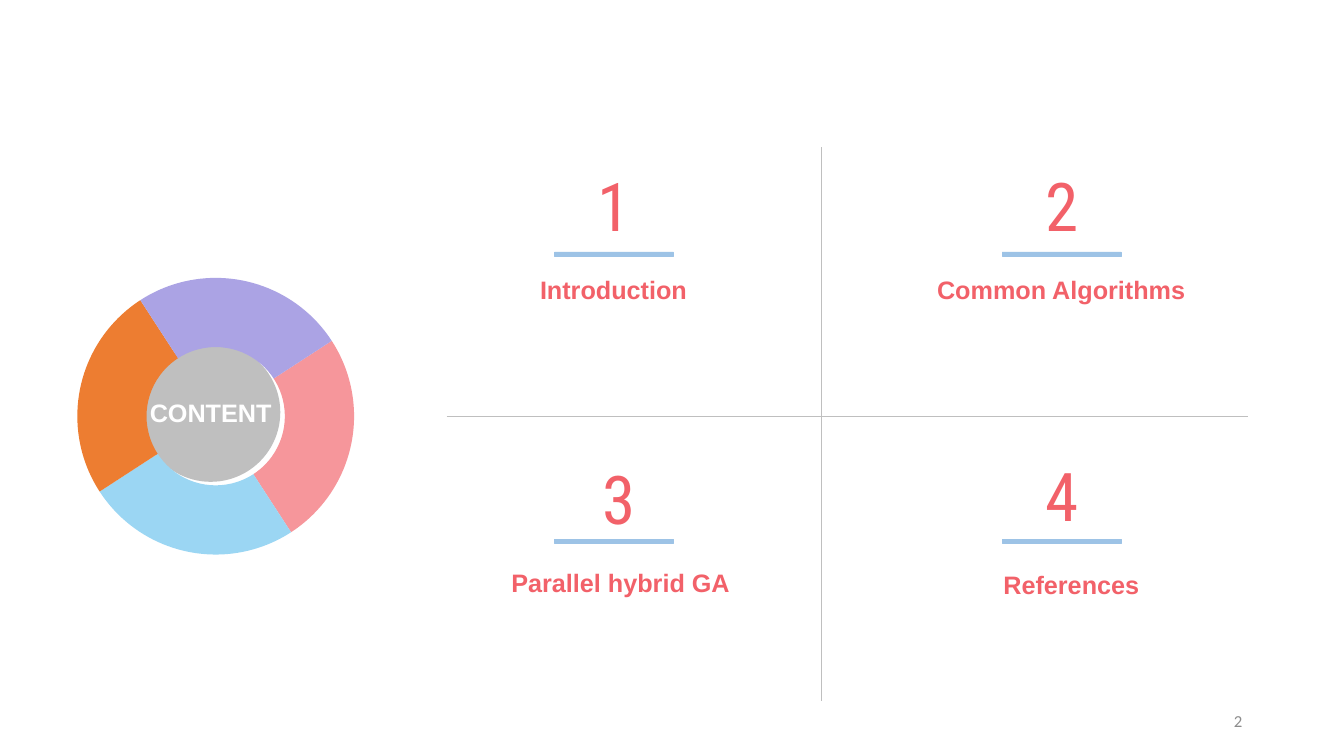
import pptx
import pptx.chart.data
import pptx.dml.color
import pptx.enum.chart
import pptx.enum.shapes
import pptx.enum.text
import pptx.oxml
import pptx.oxml.ns
import pptx.util
from pptx.util import Inches

ALIGN = pptx.enum.text.PP_ALIGN
ANCHOR = pptx.enum.text.MSO_ANCHOR
SHAPE = pptx.enum.shapes.MSO_SHAPE

CORAL = "F26169"
GREY = "BFBFBF"
BLUE = "9DC3E6"
SLICE_COLOURS = ["F6969B", "9BD6F3", "ED7D31", "ABA3E4"]

# number, its left and top, title, its left and top, left and top of the bar
TOPICS = [
    ("1", 5.7, 1.53, "Introduction", 4.23, 2.59, 5.5, 2.5),
    ("2", 10.14, 1.53, "Common Algorithms", 8.67, 2.59, 9.94, 2.5),
    ("3", 5.75, 4.43, "Parallel hybrid GA ", 4.33, 5.5, 5.5, 5.35),
    ("4", 10.14, 4.4, "References", 8.77, 5.52, 9.94, 5.35),
]


def rgb(colour):
    return pptx.dml.color.RGBColor.from_string(colour)


def write_text(shape, text, size, font, colour, bold=False, align=ALIGN.CENTER,
               anchor=ANCHOR.MIDDLE, margins=(0.1, 0.05), wrap=False):
    """Fill a shape with one line of text; margins are (sides, top and bottom)."""
    frame = shape.text_frame
    frame.text = text
    frame.word_wrap = wrap
    frame.vertical_anchor = anchor
    frame.margin_left = frame.margin_right = Inches(margins[0])
    frame.margin_top = frame.margin_bottom = Inches(margins[1])
    para = frame.paragraphs[0]
    para.alignment = align
    span = para.runs[0]
    span.font.size = pptx.util.Pt(size)
    span.font.name = font
    span.font.bold = bold
    span.font.color.rgb = rgb(colour)


def add_text(page, left, top, width, height, *text, **style):
    box = page.shapes.add_textbox(Inches(left), Inches(top), Inches(width), Inches(height))
    write_text(box, *text, **style)


def add_filled(page, preset, left, top, width, height, colour):
    shape = page.shapes.add_shape(
        preset, Inches(left), Inches(top), Inches(width), Inches(height))
    shape.shadow.inherit = False
    shape.fill.solid()
    shape.fill.fore_color.rgb = rgb(colour)
    shape.line.fill.background()
    return shape


def add_divider(page, x1, y1, x2, y2):
    line = page.shapes.add_connector(
        pptx.enum.shapes.MSO_CONNECTOR.STRAIGHT,
        Inches(x1), Inches(y1), Inches(x2), Inches(y2))
    line.line.color.rgb = rgb(GREY)
    line.line.width = pptx.util.Pt(0.25)
    properties = line._element.spPr
    properties.append(properties.makeelement(pptx.oxml.ns.qn("a:effectLst"), {}))


def add_topic(page, number, number_left, number_top, title, title_left, title_top,
              bar_left, bar_top):
    bar = add_filled(page, SHAPE.RECTANGLE, bar_left, bar_top, 1.18, 0.04, BLUE)
    bar.line.color.rgb = rgb(BLUE)
    bar.line.width = pptx.util.Pt(0.5)
    add_text(page, number_left, number_top, 0.78, 1.01,
             number, 48, "Roboto Condensed", CORAL, margins=(0.2, 0.1))
    add_text(page, title_left, title_top, 3.71, 0.48,
             title, 18, "Arial", CORAL, bold=True, anchor=ANCHOR.BOTTOM)


def style_ring(chart):
    """Set the ring's place, rotation and hole, and leave its background clear."""
    namespaces = pptx.oxml.ns.nsdecls("c", "a")
    space = chart._chartSpace
    plot_area = space.chart.plotArea
    for layout in plot_area.findall(pptx.oxml.ns.qn("c:layout")):
        plot_area.remove(layout)
    plot_area.insert(0, pptx.oxml.parse_xml(
        f'<c:layout {namespaces}><c:manualLayout><c:layoutTarget val="inner"/>'
        '<c:xMode val="edge"/><c:yMode val="edge"/><c:x val="0.04"/><c:y val="0.06"/>'
        '<c:w val="0.91"/><c:h val="0.88"/></c:manualLayout></c:layout>'))
    for name, value in (("firstSliceAng", "57"), ("holeSize", "86")):
        plot_area.find(".//" + pptx.oxml.ns.qn("c:" + name)).set("val", value)
    space.chart.addnext(pptx.oxml.parse_xml(
        f'<c:spPr {namespaces}><a:noFill/><a:ln><a:noFill/></a:ln></c:spPr>'))


def add_ring(page):
    data = pptx.chart.data.CategoryChartData()
    data.categories = ["1", "2", "3", "4"]
    data.add_series("Series 1", [25] * 4)
    chart = page.shapes.add_chart(
        pptx.enum.chart.XL_CHART_TYPE.DOUGHNUT,
        Inches(0.64), Inches(2.57), Inches(3.03), Inches(3.12), data).chart
    chart.has_legend = False
    chart.has_title = False
    chart.font.size = pptx.util.Pt(18)
    chart.font.name = "Calibri"
    chart.font.color.rgb = rgb("000000")
    plot = chart.plots[0]
    plot.has_data_labels = False
    for index, colour in enumerate(SLICE_COLOURS):
        slice_format = plot.series[0].points[index].format
        slice_format.fill.solid()
        slice_format.fill.fore_color.rgb = rgb(colour)
        slice_format.line.fill.background()
    style_ring(chart)


def main():
    deck = pptx.Presentation()
    deck.slide_width = Inches(13.33)
    deck.slide_height = Inches(7.5)
    page = deck.slides.add_slide(deck.slide_layouts[6])

    hub = add_filled(page, SHAPE.OVAL, 1.4, 3.4, 1.38, 1.38, GREY)
    write_text(hub, "CONTENT", 18, "Arial", "FFFFFF", bold=True)
    for topic in TOPICS:
        add_topic(page, *topic)
    add_divider(page, 4.43, 4.13, 12.38, 4.13)
    add_divider(page, 8.14, 1.46, 8.14, 6.95)
    add_text(page, 9.42, 6.95, 3, 0.4, "2", 12, "Calibri", "8C8C8C",
             align=ALIGN.RIGHT, wrap=True)
    add_ring(page)
    deck.save("out.pptx")


if __name__ == "__main__":
    main()
